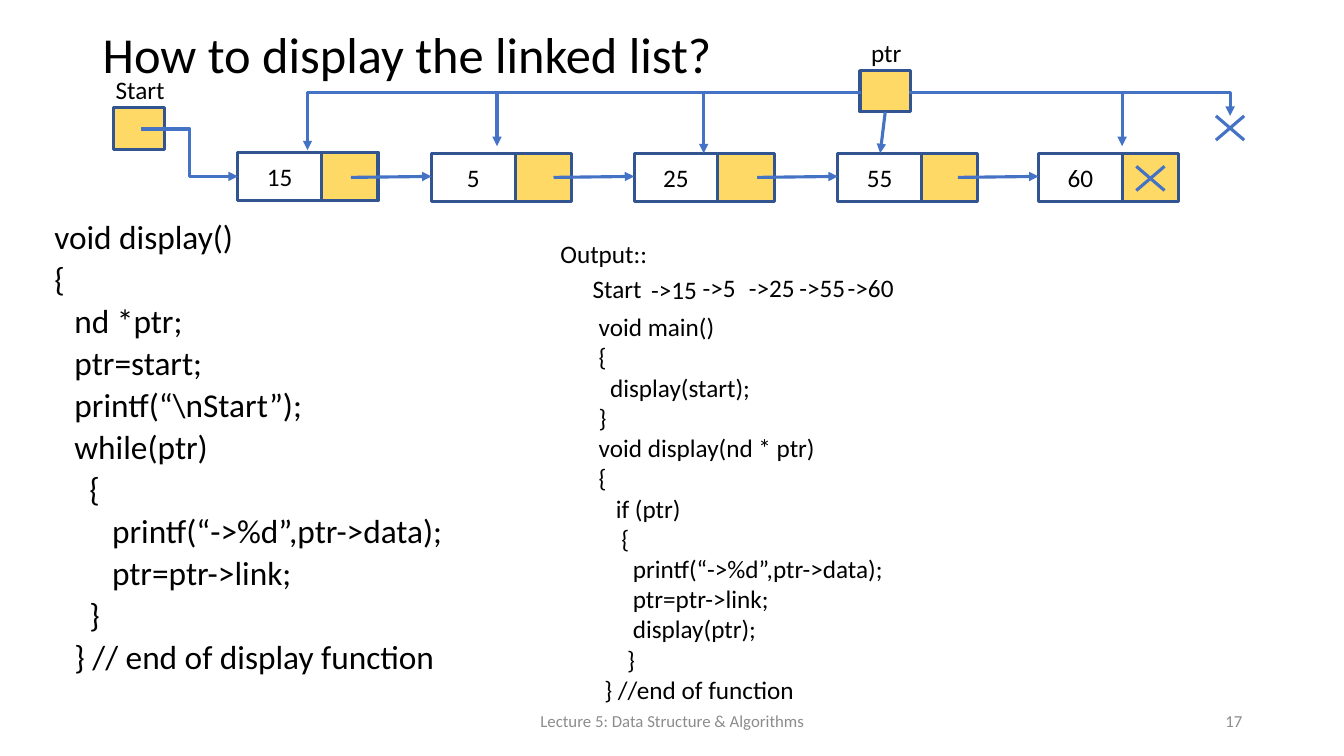
from lxml import etree
from pptx import Presentation
from pptx.dml.color import RGBColor
from pptx.enum import shapes, text
from pptx.oxml.ns import qn
from pptx.util import Emu, Inches, Pt

# Grid: square cells, 133.3 columns by 75 rows
CELL = Inches(0.1)
COLS, ROWS = 133.3, 75
FONT = "Calibri"
HUES = {"ink": "000000", "grey": "8C8C8C", "gold": "FFD966",
        "edge": "325491", "wire": "4472C4"}
LEFT, MID, RIGHT = text.PP_ALIGN.LEFT, text.PP_ALIGN.CENTER, text.PP_ALIGN.RIGHT

LOOP = r"""void display()
{
nd *ptr;
ptr=start;
printf(“\nStart”);
while(ptr)
  {
     printf(“->%d”,ptr->data);
     ptr=ptr->link;
  }
} // end of display function"""

RECUR = """void main()
{
  display(start);
}
void display(nd * ptr)
{
   if (ptr)
    {
      printf(“->%d”,ptr->data);
      ptr=ptr->link;
      display(ptr);
     }
 } //end of function"""

# Node column, row and value
NODES = [(23.6, 15.1, "15"), (42.8, 15.2, "5"), (62.9, 15.2, "25"),
         (83.1, 15.2, "55"), (103, 15.2, "60")]
DATA, LINK, TALL = 8.3, 5.6, 4.8


def grid(*cells):
    return [Emu(round(c * CELL)) for c in cells]


def hue(name):
    return RGBColor.from_string(HUES[name])


def write(frame, words, size, align=LEFT, color="ink", lead=None, gap=0,
          inset=None):
    """Fill a frame; lines from number inset on are set in by two columns."""
    frame.word_wrap = True
    for i, line in enumerate(words.split("\n")):
        para = frame.paragraphs[0] if i == 0 else frame.add_paragraph()
        para.add_run().text = line
        para.alignment = align
        if lead:
            para.line_spacing = lead
        if gap and i:
            para.space_before = Pt(gap)
        if inset and i >= inset:
            para._p.get_or_add_pPr().set("marL", str(2 * CELL))
        para.font.name = FONT
        para.font.size = Pt(size)
        para.font.color.rgb = hue(color)


def label(slide, x, y, w, h, words, size=18, mid=False, **style):
    frame = slide.shapes.add_textbox(*grid(x, y, w, h)).text_frame
    if mid:
        frame.vertical_anchor = text.MSO_ANCHOR.MIDDLE
    write(frame, words, size, **style)


def box(slide, x, y, w, h, words="", fill=None):
    rect = slide.shapes.add_shape(shapes.MSO_SHAPE.RECTANGLE, *grid(x, y, w, h))
    rect.shadow.inherit = False
    rect.line.color.rgb = hue("edge")
    rect.line.width = Pt(2.25)
    if fill:
        rect.fill.solid()
        rect.fill.fore_color.rgb = hue(fill)
    else:
        rect.fill.background()
    if words:
        rect.text_frame.vertical_anchor = text.MSO_ANCHOR.MIDDLE
        write(rect.text_frame, words, 18, MID)


def wire(slide, x1, y1, x2, y2, bend=None, head=True):
    """Draw a line; bend is the share of the width where an elbow turns."""
    kind = shapes.MSO_CONNECTOR.STRAIGHT if bend is None else shapes.MSO_CONNECTOR.ELBOW
    line = slide.shapes.add_connector(kind, *grid(x1, y1, x2, y2))
    line.line.color.rgb = hue("wire")
    line.line.width = Pt(2.25)
    props = line._element.spPr
    if bend is not None:
        turns = props.find(qn("a:prstGeom")).get_or_add_avLst()
        etree.SubElement(turns, qn("a:gd"), name="adj1",
                         fmla=f"val {round(bend * 100000)}")
    if head:
        etree.SubElement(props.find(qn("a:ln")), qn("a:tailEnd"), type="triangle")
    etree.SubElement(props, qn("a:effectLst"))


def cross(slide, x, y, w=2.8, h=2.4):
    wire(slide, x, y, x + w, y + h, head=False)
    wire(slide, x + w, y, x, y + h, head=False)


def chain(slide):
    # Nodes, then the link into each following node
    for x, y, value in NODES:
        box(slide, x, y, DATA, TALL, value)
        box(slide, x + DATA, y, LINK, TALL, fill="gold")
    for x, y, _ in NODES[1:]:
        wire(slide, x - 8, y + 2.4, x, y + 2.3)
    cross(slide, 112.7, 16.5)

    # Start pointer
    box(slide, 11.3, 10.7, 5, 4.1, fill="gold")
    label(slide, 9.1, 6.9, 9.6, 4, "Start", align=MID)
    wire(slide, 14, 12.8, 23.6, 17.5, bend=0.5)


def walk(slide):
    # Moving pointer and every place it visits
    box(slide, 85.3, 7, 5, 4.1, fill="gold")
    label(slide, 83.1, 3.2, 9.6, 4, "ptr", align=MID)
    for x, y in [(30.5, 14.9), (49.3, 14.5), (69.8, 15.2)]:
        wire(slide, 85.4, 9.2, x, y, bend=1)
    for x, y in [(111.3, 14.5), (122, 11.5)]:
        wire(slide, 90.2, 9.2, x, y, bend=1)
    wire(slide, 87.8, 11.1, 87.3, 15.2)
    cross(slide, 120.6, 11.5)


def output(slide):
    label(slide, 54.6, 23.2, 16.7, 4, "Output::")
    for x, y, word in [(57.8, 26.6, "Start"), (63.6, 26.7, "->15"),
                       (68.7, 26.5, "->5"), (73.3, 26.5, "->25"),
                       (78.3, 26.5, "->55"), (83.1, 26.5, "->60")]:
        label(slide, x, y, 7.3, 4, word)


def main():
    deck = Presentation()
    deck.slide_width, deck.slide_height = grid(COLS, ROWS)
    slide = deck.slides.add_slide(deck.slide_layouts[6])

    # Title and code
    label(slide, 9.2, 2.5, 115, 6.3, "How to display the linked list?", 36,
          mid=True, lead=0.9)
    label(slide, 4.4, 22, 58.5, 47.9, LOOP, 23.8, lead=0.7, gap=10, inset=2)
    label(slide, 58.4, 30.4, 38.4, 40.4, RECUR)

    # Linked list and its output
    chain(slide)
    walk(slide)
    output(slide)

    # Footer
    label(slide, 44.2, 69.5, 45, 4, "Lecture 5: Data Structure & Algorithms", 12,
          mid=True, align=MID, color="grey")
    label(slide, 94.2, 69.5, 30, 4, "17", 12, mid=True, align=RIGHT, color="grey")
    deck.save("out.pptx")


if __name__ == "__main__":
    main()
